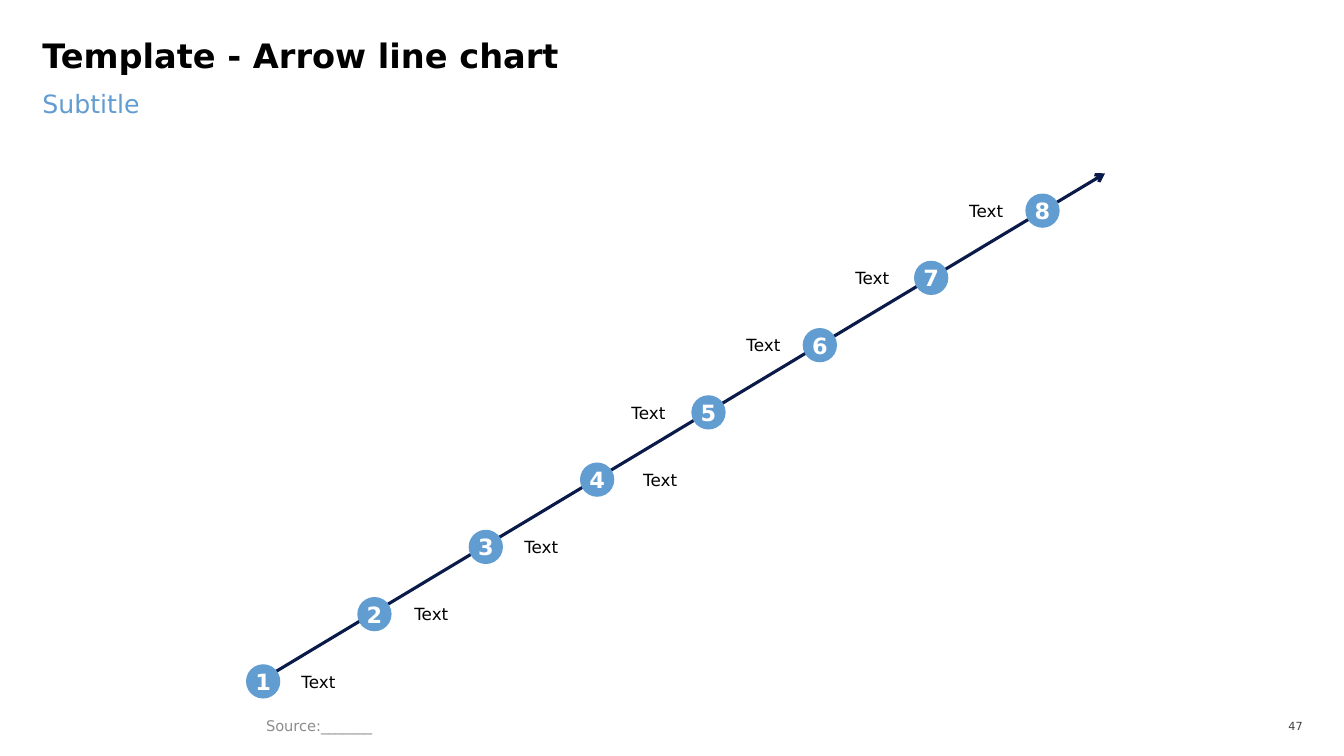
from dataclasses import dataclass

from lxml.etree import SubElement
from pptx import Presentation
from pptx.dml.color import RGBColor as RGB
from pptx.enum.shapes import MSO_CONNECTOR as Link, MSO_SHAPE as Shape
from pptx.enum.text import MSO_ANCHOR as Anchor, PP_ALIGN as Align
from pptx.oxml.ns import qn
from pptx.util import Inches, Pt

TITLE = "Template - Arrow line chart"
SUBTITLE = "Subtitle"
SOURCE = "Source:_______"
PAGE = "47"

# (label, left edge of its box, alignment): below the arrow, then above it
STEPS = [
    ("Text", 2.99, Align.LEFT),
    ("Text", 4.11, Align.LEFT),
    ("Text", 5.2, Align.LEFT),
    ("Text", 6.38, Align.LEFT),
    ("Text", 5.13, Align.RIGHT),
    ("Text", 6.27, Align.RIGHT),
    ("Text", 7.35, Align.RIGHT),
    ("Text", 8.48, Align.RIGHT),
]

START, END = (2.54, 6.78), (10.96, 1.72)   # arrow
FIRST, LAST = (2.44, 6.59), (10.17, 1.92)  # corners of the end circles
DOT = 0.34
LABEL_W, LABEL_H = 1.47, 0.2


@dataclass(frozen=True)
class Theme:
    font: str = "DejaVu Sans"
    black: str = "000000"
    white: str = "FFFFFF"
    navy: str = "0A1A49"
    blue: str = "629DD1"
    sub: str = "629CD0"
    gray: str = "8C8C8C"
    dark: str = "404040"
    title_pt: float = 24
    sub_pt: float = 18
    dot_pt: float = 16
    label_pt: float = 12
    source_pt: float = 10.5
    page_pt: float = 8
    line_pt: float = 2.25


T = Theme()


def write(shape, text, size, color, bold=False, align=Align.LEFT,
          anchor=Anchor.MIDDLE, inset=(0, 0)):
    """Fill a shape with one formatted line; inset is (side, top)."""
    frame = shape.text_frame
    frame.text = text
    frame.word_wrap = True
    frame.vertical_anchor = anchor
    frame.margin_left = frame.margin_right = Inches(inset[0])
    frame.margin_top = frame.margin_bottom = Inches(inset[1])
    para = frame.paragraphs[0]
    para.alignment = align
    font = para.runs[0].font
    font.name, font.size, font.bold = T.font, Pt(size), bold
    font.color.rgb = RGB.from_string(color)


def add_text(slide, box, *args, **kwargs):
    shape = slide.shapes.add_textbox(*map(Inches, box))
    write(shape, *args, **kwargs)


def add_title(slide):
    title = slide.shapes.title
    title.left, title.top = Inches(0.42), Inches(0.42)
    title.width, title.height = Inches(12.49), Inches(0.53)
    write(title, TITLE, T.title_pt, T.black, bold=True, anchor=Anchor.TOP)
    title.text_frame.paragraphs[0].line_spacing = 0.8


def add_arrow(slide):
    arrow = slide.shapes.add_connector(
        Link.STRAIGHT, *map(Inches, START + END))
    arrow.line.color.rgb = RGB.from_string(T.navy)
    arrow.line.width = Pt(T.line_pt)
    props = arrow._element.spPr
    SubElement(props.find(qn("a:ln")), qn("a:tailEnd"), type="arrow")
    SubElement(props, qn("a:effectLst"))


def add_dot(slide, left, top, text):
    dot = slide.shapes.add_shape(
        Shape.OVAL, *map(Inches, (left, top, DOT, DOT)))
    dot.shadow.inherit = False
    dot.fill.solid()
    dot.fill.fore_color.rgb = RGB.from_string(T.blue)
    dot.line.fill.background()
    write(dot, text, T.dot_pt, T.white, bold=True, align=Align.CENTER)


def add_steps(slide):
    gaps = len(STEPS) - 1
    for i, (label, label_x, align) in enumerate(STEPS):
        left, top = (a + (b - a) * i / gaps for a, b in zip(FIRST, LAST))
        add_dot(slide, left, top, str(i + 1))
        label_y = top + (DOT - LABEL_H) / 2
        add_text(slide, (label_x, label_y, LABEL_W, LABEL_H),
                 label, T.label_pt, T.black, align=align)


def main():
    deck = Presentation()
    deck.slide_width, deck.slide_height = Inches(13.33), Inches(7.5)
    slide = deck.slides.add_slide(deck.slide_layouts[5])
    add_title(slide)
    add_text(slide, (0.42, 0.88, 12.49, 0.63), SUBTITLE, T.sub_pt, T.sub,
             anchor=Anchor.TOP)
    add_arrow(slide)
    add_steps(slide)
    add_text(slide, (2.54, 7.07, 6.39, 0.26), SOURCE, T.source_pt, T.gray,
             inset=(0.1, 0.05))
    add_text(slide, (12.5, 7.09, 0.42, 0.23), PAGE, T.page_pt, T.dark,
             align=Align.RIGHT)
    deck.save("out.pptx")


if __name__ == "__main__":
    main()
